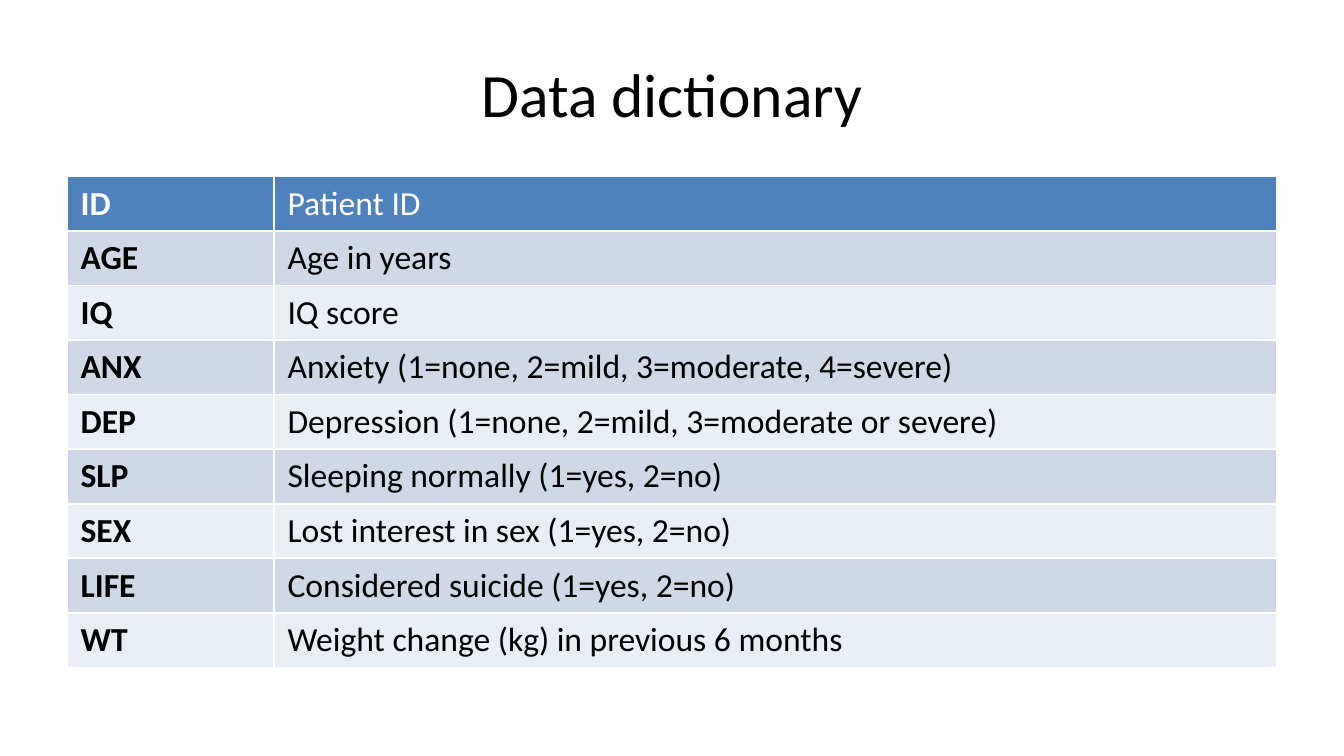
import pptx
import pptx.dml.color
import pptx.enum.text
import pptx.oxml
import pptx.oxml.ns
import pptx.util

WIDTH = pptx.util.Inches(10)
HEIGHT = WIDTH * 9 // 16
MARGIN = 0.05  # share of the slide width
FONT = "Calibri"
BLACK, WHITE = "000000", "FFFFFF"
HEADER_FILL = "4F81BD"
BAND_FILLS = ("E9EDF4", "D0D8E8")  # even rows, odd rows
CODE_SHARE = 1.54 / 9  # first column's share of the table width

VARIABLES = [
    ("ID", "Patient ID"),
    ("AGE", "Age in years"),
    ("IQ", "IQ score"),
    ("ANX", "Anxiety (1=none, 2=mild, 3=moderate, 4=severe)"),
    ("DEP", "Depression (1=none, 2=mild, 3=moderate or severe)"),
    ("SLP", "Sleeping normally (1=yes, 2=no)"),
    ("SEX", "Lost interest in sex (1=yes, 2=no)"),
    ("LIFE", "Considered suicide (1=yes, 2=no)"),
    ("WT", "Weight change (kg) in previous 6 months"),
]


def rgb(value):
    return pptx.dml.color.RGBColor.from_string(value)


def box(left, top, width, height):
    """Turn shares of the slide's size into lengths."""
    return (int(left * WIDTH), int(top * HEIGHT),
            int(width * WIDTH), int(height * HEIGHT))


def write(tf, text, size=18, color=BLACK, bold=False, align=None):
    p = tf.paragraphs[0]
    p.alignment = align
    r = p.add_run()
    r.text = text
    r.font.name = FONT
    r.font.size = pptx.util.Pt(size)
    r.font.bold = bold
    r.font.color.rgb = rgb(color)


def set_borders(cell, width=1):
    """Draw white borders; they must precede the fill in the cell's XML."""
    tc_pr = cell._tc.get_or_add_tcPr()
    for side in "LRTB":
        tc_pr.append(pptx.oxml.parse_xml(
            f'<a:ln{side} {pptx.oxml.ns.nsdecls("a")} w="{pptx.util.Pt(width)}">'
            f'<a:solidFill><a:srgbClr val="{WHITE}"/></a:solidFill></a:ln{side}>'))


def add_title(s, text, left, top, width, height):
    sp = s.shapes.title
    sp.left, sp.top, sp.width, sp.height = left, top, width, height
    tf = sp.text_frame
    tf.word_wrap = True
    tf.vertical_anchor = pptx.enum.text.MSO_ANCHOR.MIDDLE
    write(tf, text, size=33, align=pptx.enum.text.PP_ALIGN.CENTER)


def add_dictionary(s, variables, left, top, width, height):
    table = s.shapes.add_table(len(variables), 2, left, top, width, height).table
    table.columns[0].width = int(width * CODE_SHARE)
    table.columns[1].width = width - table.columns[0].width
    for i, variable in enumerate(variables):
        header = i == 0
        for j, text in enumerate(variable):
            cell = table.cell(i, j)
            set_borders(cell)
            cell.fill.solid()
            cell.fill.fore_color.rgb = rgb(HEADER_FILL if header else BAND_FILLS[i % 2])
            write(cell.text_frame, text, color=WHITE if header else BLACK, bold=j == 0)


def main():
    prs = pptx.Presentation()
    prs.slide_width, prs.slide_height = WIDTH, HEIGHT
    s = prs.slides.add_slide(prs.slide_layouts[5])
    content_width = 1 - 2 * MARGIN
    add_title(s, "Data dictionary", *box(MARGIN, 0.04, content_width, 1 / 6))
    add_dictionary(s, VARIABLES, *box(MARGIN, 7 / 30, content_width, 0.65))
    prs.save("out.pptx")


if __name__ == "__main__":
    main()
